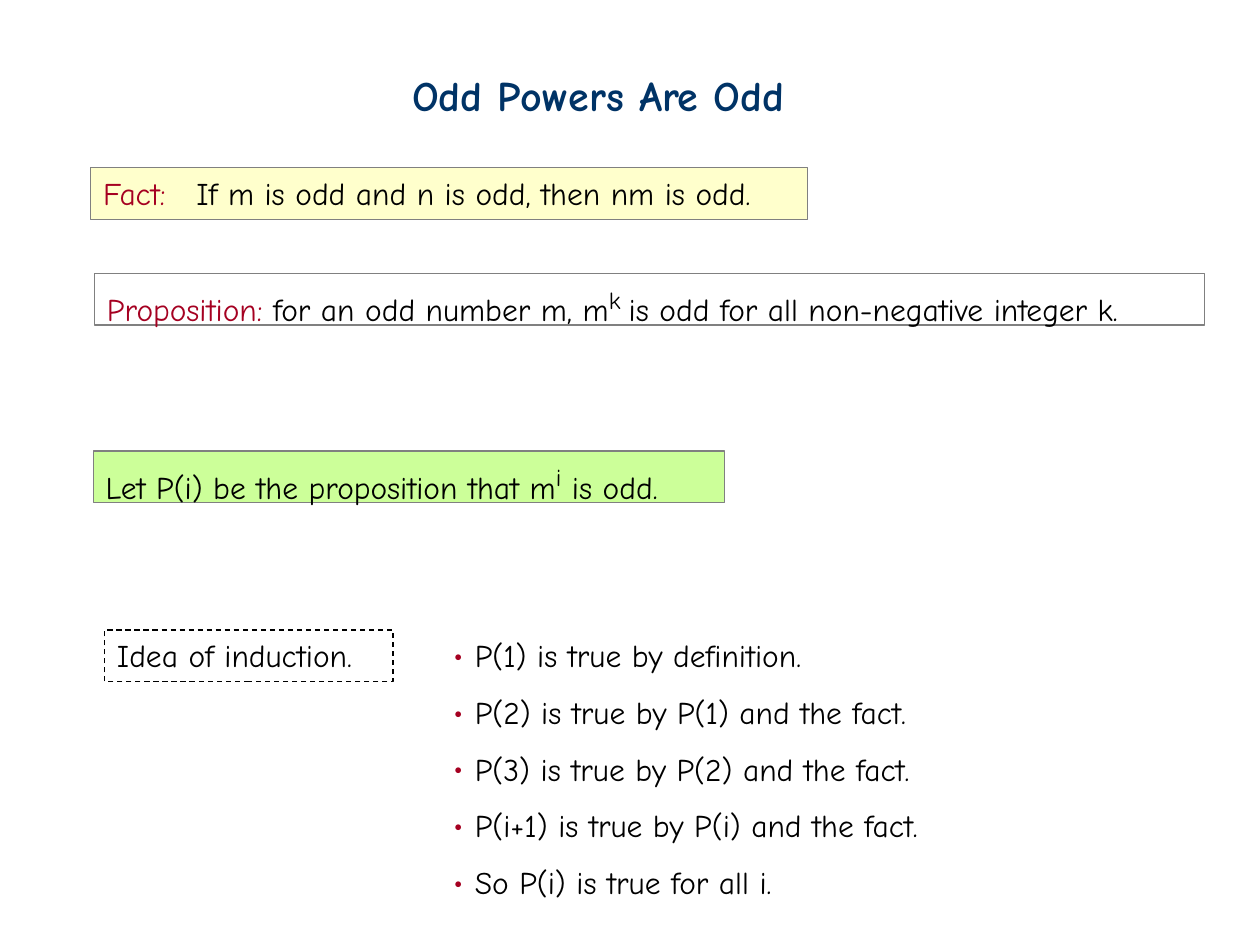
"""Build the slide "Odd Powers Are Odd" on proof by induction."""
from lxml.etree import SubElement
from pptx import Presentation
from pptx.dml.color import RGBColor
from pptx.enum.dml import MSO_LINE
from pptx.enum.shapes import MSO_SHAPE
from pptx.enum.text import MSO_ANCHOR, MSO_AUTO_SIZE, PP_ALIGN
from pptx.oxml.ns import qn
from pptx.util import Inches, Pt

FONT = "Comic Neue"
NAVY, RED, BLACK, GREY = "003366", "A50021", "000000", "808080"
PLAIN = {"color": BLACK}
LABEL = {"color": RED}
POWER = {"color": BLACK, "size": 24, "raised": True}

TITLE = ("Odd Powers Are Odd", (3.17, 0.5, 3.62, 0.5))
STATEMENTS = [
    {"at": (0.72, 1.33, 5.69, 0.41), "fill": "FFFFCC", "line": GREY, "tab": 0.74,
     "runs": [("Fact:", LABEL), ("\tIf m is odd and n is odd, then nm is odd.", PLAIN)]},
    {"at": (0.75, 2.17, 8.81, 0.41), "line": GREY,
     "runs": [("Proposition:", LABEL), (" for an odd number m, m", PLAIN), ("k ", POWER),
              ("is odd for all non-negative integer k.", PLAIN)]},
    {"at": (0.74, 3.58, 5.01, 0.41), "fill": "CCFF99", "line": GREY,
     "runs": [("Let P(i) be the proposition that m", PLAIN), ("i", POWER), (" is odd.", PLAIN)]},
    {"at": (0.83, 5, 2.29, 0.41), "line": BLACK, "dash": MSO_LINE.DASH,
     "runs": [("Idea of induction.", PLAIN)]},
]
STEPS_AT = (3.5, 5, 4.24, 2.21)
STEPS = [
    "P(1) is true by definition.",
    "P(2) is true by P(1) and the fact.",
    "P(3) is true by P(2) and the fact.",
    "P(i+1) is true by P(i) and the fact.",
    "So P(i) is true for all i.",
]
HANG = 0.17


def rgb(value):
    return RGBColor.from_string(value)


def prepare_frame(shape):
    frame = shape.text_frame
    settings = {"word_wrap": True, "auto_size": MSO_AUTO_SIZE.NONE,
                "vertical_anchor": MSO_ANCHOR.TOP}
    for name, value in settings.items():
        setattr(frame, name, value)
    frame.paragraphs[0].alignment = PP_ALIGN.LEFT
    return frame


def add_run(paragraph, text, color, size=18, bold=False, raised=False):
    run = paragraph.add_run()
    run.text = text
    for name, value in {"name": FONT, "size": Pt(size), "bold": bold}.items():
        setattr(run.font, name, value)
    run.font.color.rgb = rgb(color)
    if raised:
        run._r.get_or_add_rPr().set("baseline", "30000")


def add_tab(paragraph, position):
    tabs = SubElement(paragraph._p.get_or_add_pPr(), qn("a:tabLst"))
    SubElement(tabs, qn("a:tab"), pos=str(Inches(position)), algn="l")


def add_bullet(paragraph):
    properties = paragraph._p.get_or_add_pPr()
    properties.set("marL", str(Inches(HANG)))
    properties.set("indent", str(-Inches(HANG)))
    color = SubElement(properties, qn("a:buClr"))
    SubElement(color, qn("a:srgbClr"), val=RED)
    SubElement(properties, qn("a:buFont"), typeface=FONT)
    SubElement(properties, qn("a:buChar"), char="•")


def add_statement(slide, at, runs, line, fill=None, dash=None, tab=None):
    statement = slide.shapes.add_shape(MSO_SHAPE.RECTANGLE, *map(Inches, at))
    statement.shadow.inherit = False
    if fill:
        statement.fill.solid()
        statement.fill.fore_color.rgb = rgb(fill)
    else:
        statement.fill.background()
    statement.line.color.rgb = rgb(line)
    statement.line.width = Pt(0.75)
    if dash:
        statement.line.dash_style = dash
    paragraph = prepare_frame(statement).paragraphs[0]
    if tab:
        add_tab(paragraph, tab)
    for text, style in runs:
        add_run(paragraph, text, **style)


def add_steps(slide):
    frame = prepare_frame(slide.shapes.add_textbox(*map(Inches, STEPS_AT)))
    for index, step in enumerate(STEPS):
        paragraph = frame.add_paragraph() if index else frame.paragraphs[0]
        if index:
            paragraph.line_spacing = 1.5
        add_bullet(paragraph)
        add_run(paragraph, step, BLACK)


def main():
    deck = Presentation()
    deck.slide_width, deck.slide_height = Inches(10), Inches(7.5)
    slide = deck.slides.add_slide(deck.slide_layouts[5])
    heading, heading_at = TITLE
    title = slide.shapes.title
    for name, value in zip(("left", "top", "width", "height"), heading_at):
        setattr(title, name, Inches(value))
    add_run(prepare_frame(title).paragraphs[0], heading, NAVY, 24, bold=True)
    for statement in STATEMENTS:
        add_statement(slide, **statement)
    add_steps(slide)
    deck.save("out.pptx")


if __name__ == "__main__":
    main()
